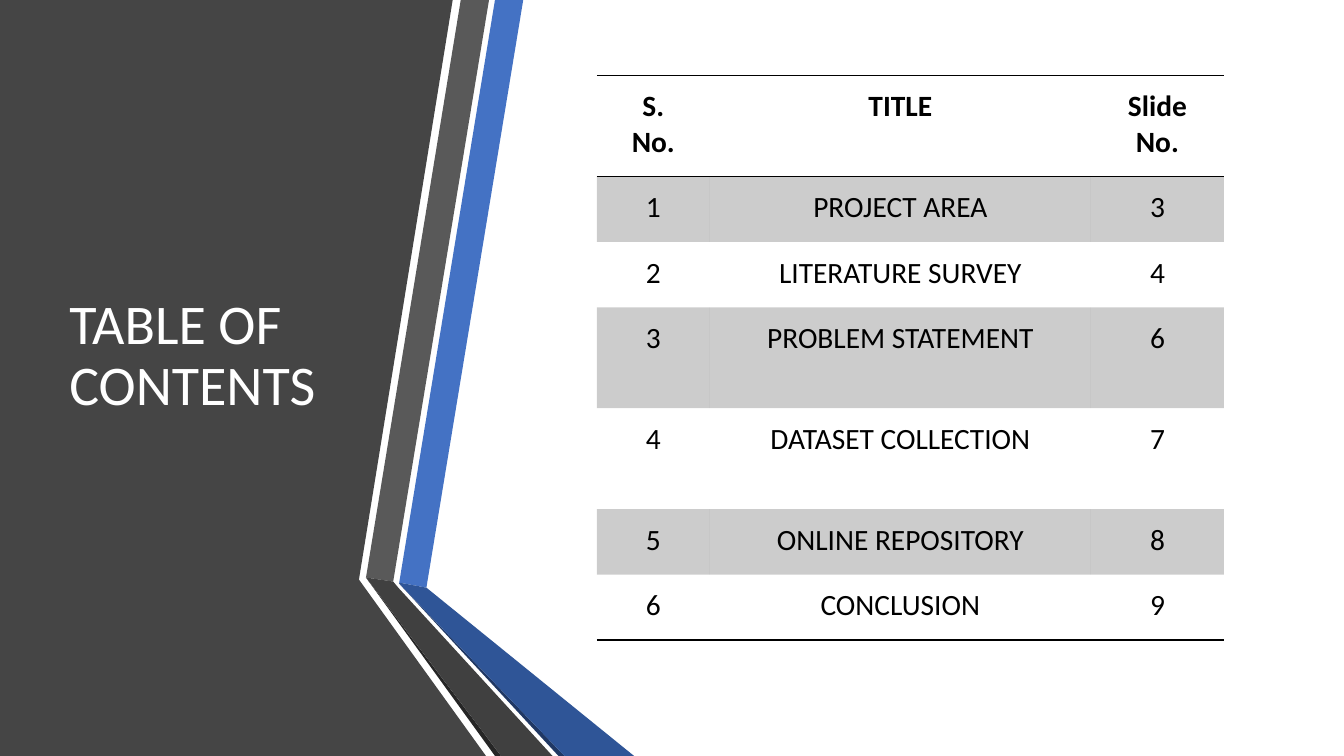
from lxml import etree
from pptx import Presentation
from pptx.dml.color import RGBColor
from pptx.enum import text
from pptx.oxml import ns
from pptx.util import Inches, Pt

FONT = "Calibri"
WHITE = RGBColor(0xFF, 0xFF, 0xFF)
BLACK = RGBColor(0x00, 0x00, 0x00)
PANEL = RGBColor(0x45, 0x45, 0x45)
BLUE = RGBColor(0x44, 0x72, 0xC4)
BLUE_FOLD = RGBColor(0x2F, 0x55, 0x97)
BLUE_EDGE = RGBColor(0x20, 0x38, 0x64)
GREY = RGBColor(0x59, 0x59, 0x59)
GREY_FOLD = RGBColor(0x40, 0x40, 0x40)
GREY_EDGE = RGBColor(0x26, 0x26, 0x26)
NO_STYLE = "{2D5ABB26-0587-4C30-8999-92F81FD0307C}"


def write(frame, wording, size, color, bold=False, align=None, spacing=None):
    frame.word_wrap = True
    para = frame.paragraphs[0]
    para.alignment = align
    para.line_spacing = spacing
    span = para.add_run()
    span.text = wording
    span.font.name = FONT
    span.font.size = Pt(size)
    span.font.bold = bold
    span.font.color.rgb = color


def add_polygon(shapes, color, points):
    corners = [(Inches(x), Inches(y)) for x, y in points]
    builder = shapes.build_freeform(*corners[0])
    builder.add_line_segments(corners[1:], close=True)
    polygon = builder.convert_to_shape()
    polygon.shadow.inherit = False
    polygon.fill.solid()
    polygon.fill.fore_color.rgb = color
    polygon.line.fill.background()


deck = Presentation()
deck.slide_width = Inches(13.33)
deck.slide_height = Inches(7.5)
page = deck.slides.add_slide(deck.slide_layouts[6])

# Dark panel and folded ribbons
add_polygon(page.shapes, PANEL, [(0, 0), (4.49, 0), (3.56, 5.75), (4.82, 7.5), (0, 7.5)])
ribbons = page.shapes.add_group_shape()
for color, points in [
    (BLUE, [(3.96, 5.78), (4.23, 5.83), (5.19, 0), (4.91, 0)]),
    (GREY, [(4.85, 0), (4.57, 0), (3.63, 5.73), (3.9, 5.77)]),
    (GREY_EDGE, [(3.63, 5.73), (4.91, 7.5), (4.97, 7.5)]),
    (BLUE_EDGE, [(3.96, 5.79), (5.54, 7.5), (5.6, 7.5)]),
    (BLUE_FOLD, [(3.96, 5.79), (5.6, 7.5), (6.29, 7.5), (4.23, 5.83), (3.96, 5.78)]),
    (GREY_FOLD, [(5.48, 7.5), (3.95, 5.83), (3.9, 5.77), (3.63, 5.73), (4.97, 7.5)]),
]:
    add_polygon(ribbons.shapes, color, points)

# Title
title = page.shapes.add_textbox(Inches(0.59), Inches(0.75), Inches(3.04), Inches(5.58))
title.text_frame.vertical_anchor = text.MSO_ANCHOR.MIDDLE
write(title.text_frame, "TABLE OF CONTENTS", 40, WHITE, spacing=0.9)

# Contents table
entries = [
    ("S. No.", "TITLE", "Slide No."),
    ("1", "PROJECT AREA", "3"),
    ("2", "LITERATURE SURVEY", "4"),
    ("3", "PROBLEM STATEMENT", "6"),
    ("4", "DATASET COLLECTION", "7"),
    ("5", "ONLINE REPOSITORY", "8"),
    ("6", "CONCLUSION", "9"),
]
widths = [1.12, 3.78, 1.32]
heights = [1, 0.65, 0.65, 1, 1, 0.65, 0.65]
ruled_sides = {0: ("lnT", "lnB"), len(entries) - 1: ("lnB",)}

contents = page.shapes.add_table(
    len(entries), len(widths), Inches(5.92), Inches(0.75), Inches(6.22), Inches(5.58)
).table
contents._tbl.tblPr.find(ns.qn("a:tableStyleId")).text = NO_STYLE
for column, width in zip(contents.columns, widths):
    column.width = Inches(width)

for row, (entry, height) in enumerate(zip(entries, heights)):
    contents.rows[row].height = Inches(height)
    for col, wording in enumerate(entry):
        cell = contents.cell(row, col)
        cell.margin_left = cell.margin_right = Inches(0.25)
        cell.margin_top = cell.margin_bottom = Inches(0.13)
        write(cell.text_frame, wording, 21, BLACK, bold=row == 0,
              align=text.PP_ALIGN.CENTER)
        properties = cell._tc.get_or_add_tcPr()
        for side in ruled_sides.get(row, ()):
            rule = etree.SubElement(properties, ns.qn(f"a:{side}"), w=str(Pt(1)))
            paint = etree.SubElement(rule, ns.qn("a:solidFill"))
            etree.SubElement(paint, ns.qn("a:srgbClr"), val=str(BLACK))
        if row % 2:
            cell.fill.solid()
            cell.fill.fore_color.rgb = BLACK
            tint = properties.find(".//" + ns.qn("a:srgbClr"))
            etree.SubElement(tint, ns.qn("a:alpha"), val="20000")
        else:
            cell.fill.background()

deck.save("out.pptx")
